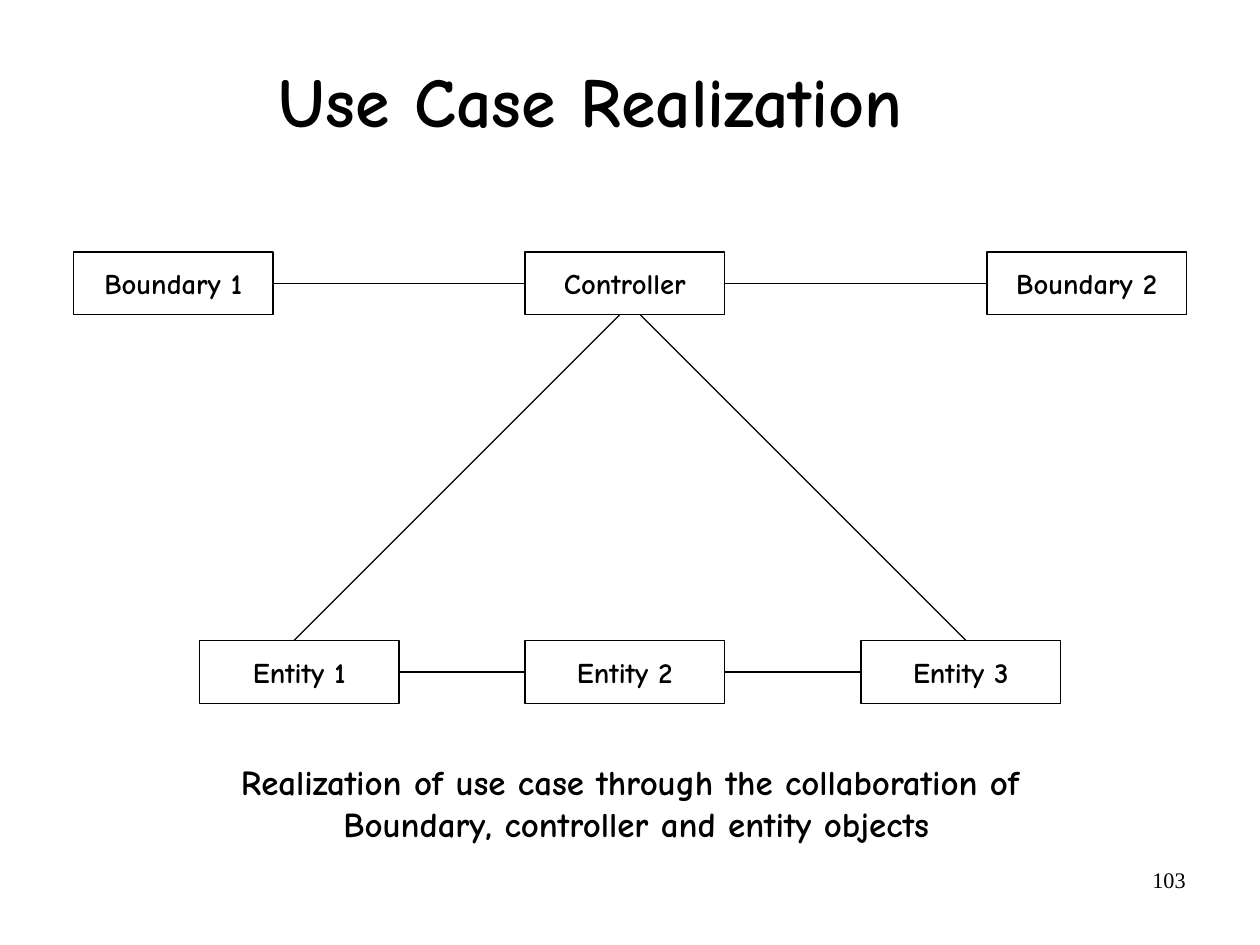
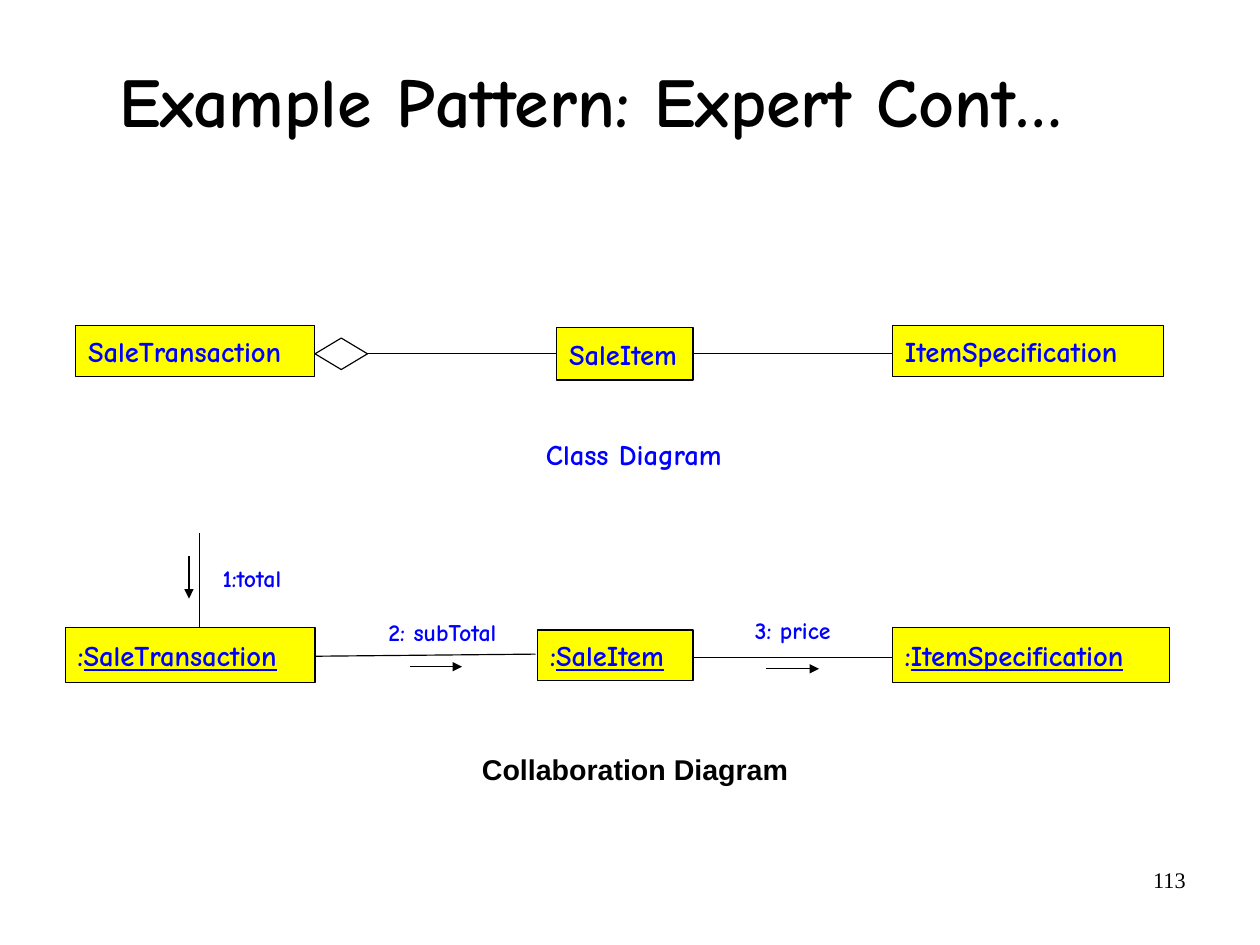
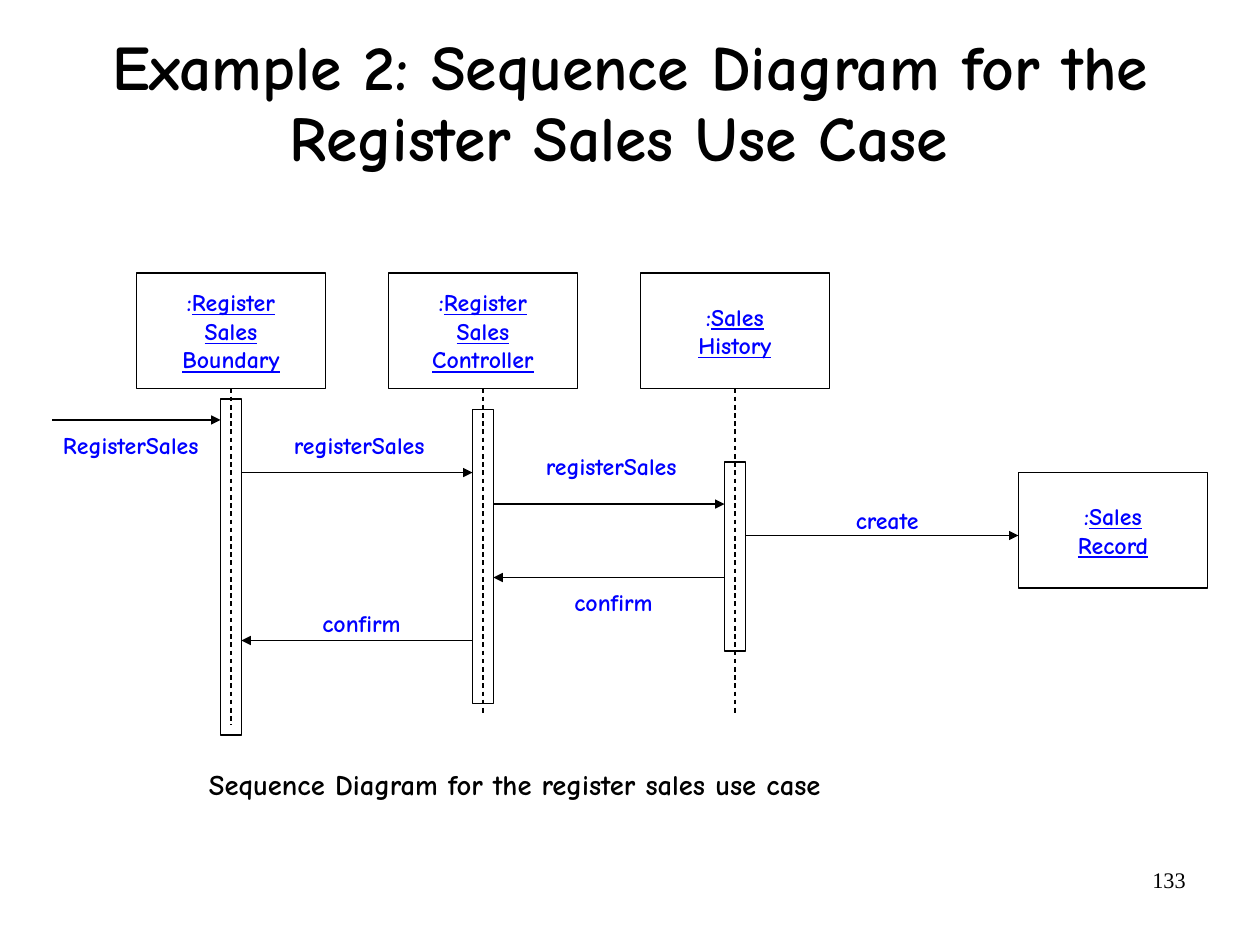
from lxml import etree
from pptx import Presentation
from pptx.dml.color import RGBColor
from pptx.enum.dml import MSO_LINE
from pptx.enum.shapes import MSO_CONNECTOR, MSO_SHAPE
from pptx.enum.text import MSO_ANCHOR, MSO_AUTO_SIZE, PP_ALIGN
from pptx.oxml.ns import qn
from pptx.util import Cm, Inches, Pt

STRAIGHT = MSO_CONNECTOR.STRAIGHT
RECTANGLE = MSO_SHAPE.RECTANGLE
DECISION = MSO_SHAPE.FLOWCHART_DECISION
DASH = MSO_LINE.DASH
LEFT, CENTER, RIGHT = PP_ALIGN.LEFT, PP_ALIGN.CENTER, PP_ALIGN.RIGHT
TOP, MIDDLE = MSO_ANCHOR.TOP, MSO_ANCHOR.MIDDLE
NO_FIT, GROW = MSO_AUTO_SIZE.NONE, MSO_AUTO_SIZE.SHAPE_TO_FIT_TEXT

WIDTH, HEIGHT = Cm(28), Cm(21)
COLUMNS, ROWS = 120, 90
COLORS = {"ink": "000000", "name": "0000FF", "class": "FFFF00"}
FONT = "Comic Neue"
PADDED = (0.11, 0.06)
BARE = (0, 0)

TITLE_AREA = (5.3, 2.4, 102, 15)
WIDE_TITLE_AREA = (3, 2.2, 114, 15.5)
NUMBER_AREA = (86, 82, 28, 6.2)


def column(value):
    return round(value * WIDTH / COLUMNS)


def row(value):
    return round(value * HEIGHT / ROWS)


def cells(area):
    left, top, width, height = area
    return column(left), row(top), column(width), row(height)


def apply_format(target, values):
    for name, value in values.items():
        setattr(target, name, value)


def write(shape, lines, size, color="ink", align=LEFT, anchor=TOP, font=FONT,
          bold=True, padding=PADDED, wrap=False, fit=NO_FIT, spacing=None):
    frame = shape.text_frame
    side, edge = (Inches(value) for value in padding)
    apply_format(frame, {
        "word_wrap": wrap, "auto_size": fit, "vertical_anchor": anchor,
        "margin_left": side, "margin_right": side,
        "margin_top": edge, "margin_bottom": edge,
    })
    is_object = lines[0].startswith(":")
    for index, line in enumerate(lines):
        paragraph = frame.add_paragraph() if index else frame.paragraphs[0]
        apply_format(paragraph, {"alignment": align, "line_spacing": spacing})
        parts = [":", line[1:]] if line.startswith(":") else [line]
        for part in parts:
            run = paragraph.add_run()
            run.text = part
            apply_format(run.font, {
                "name": font, "size": Pt(size), "bold": bold,
                "underline": True if is_object and part != ":" else None,
            })
            run.font.color.rgb = RGBColor.from_string(COLORS[color])


def outline(line):
    line.color.rgb = RGBColor.from_string(COLORS["ink"])
    line.width = Pt(0.75)


def add_box(slide, area, lines=(), fill=None, kind=RECTANGLE, **text_format):
    shape = slide.shapes.add_shape(kind, *cells(area))
    shape.shadow.inherit = False
    if fill:
        shape.fill.solid()
        shape.fill.fore_color.rgb = RGBColor.from_string(COLORS[fill])
    else:
        shape.fill.background()
    outline(shape.line)
    if lines:
        write(shape, lines, anchor=MIDDLE, **text_format)


def add_label(slide, area, lines, size, fit=GROW, **text_format):
    box = slide.shapes.add_textbox(*cells(area))
    write(box, lines, size, fit=fit, **text_format)


def add_line(slide, start, end, arrow=False, dashed=False):
    connector = slide.shapes.add_connector(
        STRAIGHT, column(start[0]), row(start[1]), column(end[0]), row(end[1]))
    outline(connector.line)
    if dashed:
        connector.line.dash_style = DASH
    if arrow:
        tail = etree.SubElement(connector.line._get_or_add_ln(), qn("a:tailEnd"))
        tail.set("type", "triangle")
    etree.SubElement(connector._element.spPr, qn("a:effectLst"))


def add_slide(presentation, title, number, size=44, area=TITLE_AREA):
    slide = presentation.slides.add_slide(presentation.slide_layouts[5])
    placeholder = slide.shapes.title
    apply_format(placeholder, dict(zip(("left", "top", "width", "height"), cells(area))))
    write(placeholder, [title], size, align=CENTER, anchor=MIDDLE,
          padding=(0.02, 0.06), wrap=True, spacing=0.94)
    add_label(slide, NUMBER_AREA, [number], 14, fit=NO_FIT, align=RIGHT, bold=False,
              font="Times New Roman", padding=(0.1, 0.05), wrap=True)
    return slide


def build_realization(presentation):
    slide = add_slide(presentation, "Use Case Realization", "103")
    box_width, box_height = 19, 6
    object_rows = {
        24: {"Boundary 1": 7, "Controller": 50, "Boundary 2": 94},
        61: {"Entity 1": 19, "Entity 2": 50, "Entity 3": 82},
    }
    for top, objects in object_rows.items():
        for name, left in objects.items():
            add_box(slide, (left, top, box_width, box_height), [name], size=18, align=CENTER)
        lefts = list(objects.values())
        middle = top + box_height / 2
        for left, following in zip(lefts, lefts[1:]):
            add_line(slide, (left + box_width, middle), (following, middle))
    for start, end in ((59, 28), (61, 92)):
        add_line(slide, (start, 30), (end, 61))
    add_label(slide, (21.6, 71.8, 78, 9.1),
              ["Realization of use case through the collaboration of ",
               "Boundary, controller and entity objects"], 22, align=CENTER)


def build_expert(presentation):
    slide = add_slide(presentation, "Example Pattern: Expert Cont…", "113")
    classes = (
        ("SaleTransaction", (7.2, 31, 22.8, 4.9)),
        ("SaleItem", (53, 31.2, 13, 5)),
        ("ItemSpecification", (85, 31, 25.8, 4.9)),
        (":SaleTransaction", (6.2, 59.8, 23.8, 5.2)),
        (":SaleItem", (51.2, 60, 14.8, 4.8)),
        (":ItemSpecification", (85, 59.8, 26.4, 5.2)),
    )
    for name, area in classes:
        add_box(slide, area, [name], fill="class", size=18, color="name")
    add_box(slide, (30, 32.2, 5, 3), kind=DECISION)

    for start, end in (((35, 33.7), (53, 33.7)), ((66, 33.7), (85, 33.7)),
                       ((30, 62.5), (51, 62.3)), ((66, 62.6), (85, 62.6)),
                       ((19, 50.8), (19, 59.8))):
        add_line(slide, start, end)
    for start, end in (((39, 63.5), (44, 63.5)), ((73, 63.7), (78, 63.7)),
                       ((18, 53), (18, 57))):
        add_line(slide, start, end, arrow=True)

    for text, left, top, width in (("1:total", 20, 53, 8.4),
                                   ("2: subTotal", 35.8, 58.2, 13.2),
                                   ("3: price", 70.7, 58, 10)):
        add_label(slide, (left, top, width, 3.9), [text], 15, color="name")
    add_label(slide, (50.8, 41, 19.3, 4.5), ["Class Diagram"], 18, color="name")
    add_label(slide, (44.7, 71, 31.6, 4.5), ["Collaboration Diagram"], 18, font="Arial")


def build_sequence(presentation):
    slide = add_slide(presentation,
                      "Example 2: Sequence Diagram for the Register Sales Use Case ",
                      "133", size=40, area=WIDE_TITLE_AREA)
    box_width, box_height, box_top = 18, 11, 26
    first_life, life_step, half_bar = 22, 24, 1
    object_style = {"size": 15, "color": "name", "align": CENTER}
    participants = (
        ([":Register", "Sales", "Boundary"], 69, 38, 32),
        ([":Register", "Sales", "Controller"], 68, 39, 28),
        ([":Sales", "History"], 68, 44, 18),
    )
    for index, (name, life_end, bar_top, bar_height) in enumerate(participants):
        life = first_life + index * life_step
        add_box(slide, (life - box_width / 2, box_top, box_width, box_height),
                name, **object_style)
        add_box(slide, (life - half_bar, bar_top, 2 * half_bar, bar_height))
        add_line(slide, (life, box_top + box_height), (life, life_end), dashed=True)
    add_box(slide, (97, 45, box_width, box_height), [":Sales", "Record"], **object_style)

    messages = (
        ("RegisterSales", 5, 21, 40, (6, 41, 13)),
        ("registerSales", 23, 45, 45, (28, 41, 12.5)),
        ("registerSales", 47, 69, 48, (52, 43, 12.5)),
        ("create", 71, 97, 51, (81.5, 48.2, 6.1)),
        ("confirm", 69, 47, 55, (54.7, 56, 7.5)),
        ("confirm", 45, 23, 61, (30.7, 58, 7.5)),
    )
    for text, start, end, level, label in messages:
        add_line(slide, (start, level), (end, level), arrow=True)
        add_label(slide, (*label, 2.7), [text], 15, color="name", padding=BARE)
    add_label(slide, (19.9, 73, 58.6, 3.3),
              ["Sequence Diagram for the register sales use case"], 18, padding=BARE)


def main():
    presentation = Presentation()
    presentation.slide_width = WIDTH
    presentation.slide_height = HEIGHT
    presentation.element.sldSz.attrib.pop("type", None)
    for build in (build_realization, build_expert, build_sequence):
        build(presentation)
    presentation.save("out.pptx")


if __name__ == "__main__":
    main()
